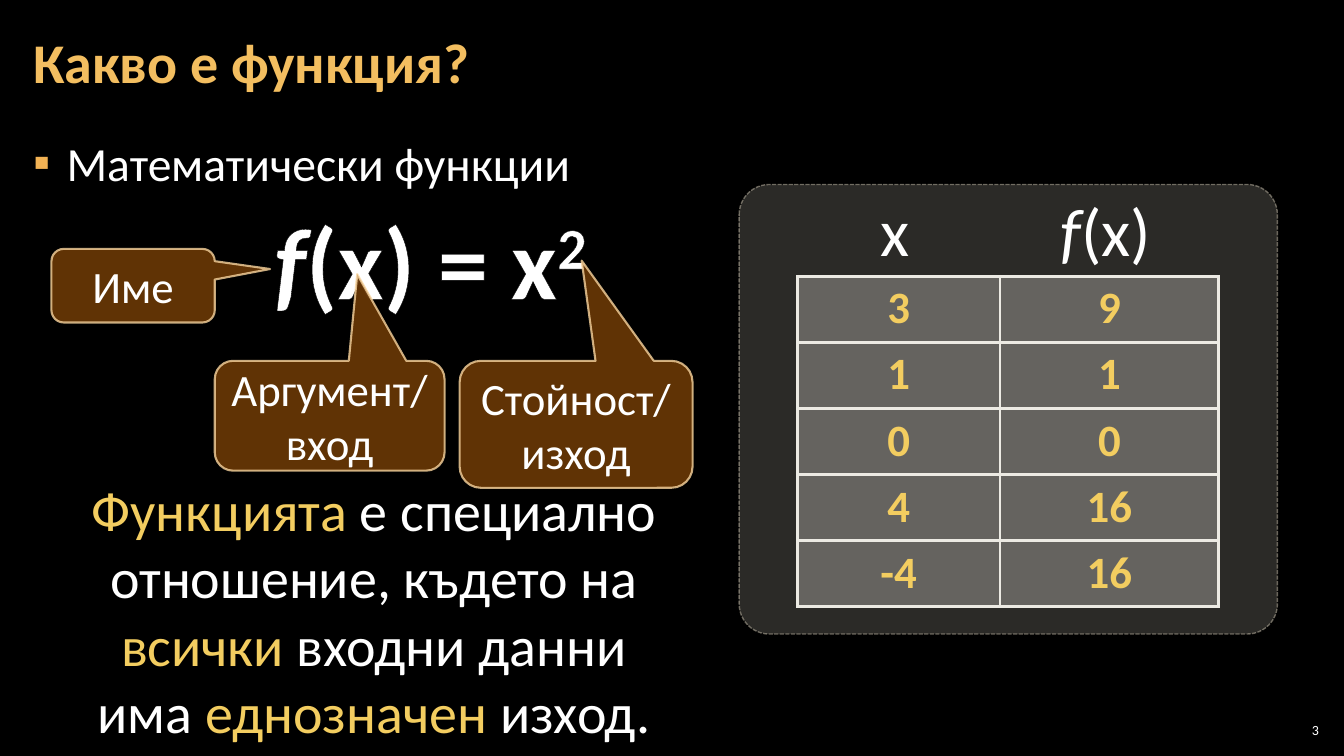
import pptx
import pptx.dml.color
import pptx.enum.dml
import pptx.enum.shapes
import pptx.enum.text
import pptx.oxml
import pptx.oxml.ns
import pptx.util

COLORS = {
    "background": "000000", "white": "FFFFFF", "title": "F3BE60",
    "bullet": "F2B254", "accent": "F3CD60", "callout": "663606",
    "callout_line": "F8D49E", "panel": "D9D5C7", "panel_line": "C7BFAC",
    "cell": "ECEAE3",
}
NAMESPACE = pptx.oxml.ns.nsdecls("a")
qn = pptx.oxml.ns.qn
Shapes = pptx.enum.shapes.MSO_SHAPE
Align = pptx.enum.text.PP_ALIGN
Anchor = pptx.enum.text.MSO_ANCHOR


def rgb(name):
    return pptx.dml.color.RGBColor.from_string(COLORS[name])


def line_xml(tag, color, points):
    return pptx.oxml.parse_xml(
        f'<a:{tag} {NAMESPACE} w="{int(points * 12700)}"><a:solidFill>'
        f'<a:srgbClr val="{COLORS[color]}"/></a:solidFill></a:{tag}>')


def set_opacity(parent, percent):
    color = parent.find(qn("a:solidFill")).find(qn("a:srgbClr"))
    color.append(pptx.oxml.parse_xml(f'<a:alpha {NAMESPACE} val="{percent * 1000}"/>'))


def write(paragraph, text, size=32, color="white", bold=False, italic=False,
          baseline=None, outline=None):
    run = paragraph.add_run()
    run.text = text
    font = run.font
    font.name, font.size = "Calibri", pptx.util.Pt(size)
    font.bold, font.italic = bold, italic
    font.color.rgb = rgb(color)
    properties = run._r.get_or_add_rPr()
    if baseline:
        properties.set("baseline", str(baseline * 1000))
    if outline:
        properties.insert(0, line_xml("ln", outline, 0.75))


class SlideBuilder:
    """Hold the current slide and its style; places are percentages of the slide."""

    def __init__(self, presentation):
        self.width = presentation.slide_width
        self.height = presentation.slide_height
        self.slide = presentation.slides.add_slide(presentation.slide_layouts[6])
        self.slide.background.fill.solid()
        self.slide.background.fill.fore_color.rgb = rgb("background")

    def x(self, share):
        return round(self.width * share / 100)

    def y(self, share):
        return round(self.height * share / 100)

    def place(self, left, top, width, height):
        return self.x(left), self.y(top), self.x(width), self.y(height)

    def text(self, box, *runs, align=Align.CENTER, anchor=Anchor.TOP,
             insets=(0.1, 0.05), wrap=True, grow=False, **style):
        frame = self.slide.shapes.add_textbox(*self.place(*box)).text_frame
        frame.word_wrap = wrap
        frame.vertical_anchor = anchor
        frame.margin_left = frame.margin_right = pptx.util.Inches(insets[0])
        frame.margin_top = frame.margin_bottom = pptx.util.Inches(insets[1])
        if grow:
            frame.auto_size = pptx.enum.text.MSO_AUTO_SIZE.SHAPE_TO_FIT_TEXT
        paragraph = frame.paragraphs[0]
        paragraph.alignment = align
        for text, changes in runs:
            write(paragraph, text, **{**style, **changes})
        return paragraph

    def bullet(self, box, text, **style):
        paragraph = self.text(box, (text, {}), align=Align.LEFT,
                              insets=(0.12, 0.04), **style)
        paragraph.line_spacing = 1.05
        paragraph.space_after = pptx.util.Pt(6)
        properties = paragraph._p.get_or_add_pPr()
        indent = pptx.util.Inches(0.33)
        properties.set("marL", str(indent))
        properties.set("indent", str(-indent))
        for xml in (f'<a:buClr {NAMESPACE}><a:srgbClr val="{COLORS["bullet"]}"/></a:buClr>',
                    f'<a:buFont {NAMESPACE} typeface="Calibri"/>',
                    f'<a:buChar {NAMESPACE} char="▪"/>'):
            properties.append(pptx.oxml.parse_xml(xml))

    def shape(self, kind, box, adjustments, fill, line, fill_opacity,
              line_opacity, points):
        shape = self.slide.shapes.add_shape(kind, *self.place(*box))
        shape.shadow.inherit = False
        for index, value in enumerate(adjustments):
            shape.adjustments[index] = value
        shape.fill.solid()
        shape.fill.fore_color.rgb = rgb(fill)
        shape.line.color.rgb = rgb(line)
        shape.line.width = pptx.util.Pt(points)
        properties = shape.element.spPr
        set_opacity(properties, fill_opacity)
        set_opacity(properties.find(qn("a:ln")), line_opacity)
        return shape

    def callout(self, box, tip, text):
        shape = self.shape(Shapes.ROUNDED_RECTANGULAR_CALLOUT, box, (*tip, 0.167),
                           "callout", "callout_line", 95, 80, 1.5)
        frame = shape.text_frame
        frame.word_wrap = True
        frame.vertical_anchor = Anchor.MIDDLE
        frame.paragraphs[0].alignment = Align.CENTER
        write(frame.paragraphs[0], text)

    def panel(self, box):
        shape = self.shape(Shapes.ROUNDED_RECTANGLE, box, (0.067,),
                           "panel", "panel_line", 20, 50, 1)
        shape.line.dash_style = pptx.enum.dml.MSO_LINE.SQUARE_DOT

    def table(self, left, top, columns, row_height, rows):
        box = (left, top, sum(columns), row_height * len(rows))
        graphic = self.slide.shapes.add_table(len(rows), len(columns), *self.place(*box))
        table = graphic.table
        table.first_row = table.horz_banding = False
        for column, width in zip(table.columns, columns):
            column.width = self.x(width)
        for row, values in zip(table.rows, rows):
            row.height = self.y(row_height)
            for cell, value in zip(row.cells, values):
                cell.fill.solid()
                cell.fill.fore_color.rgb = rgb("cell")
                paragraph = cell.text_frame.paragraphs[0]
                paragraph.alignment = Align.CENTER
                write(paragraph, str(value), color="accent", bold=True)
        for properties in graphic.element.iter(qn("a:tcPr")):
            set_opacity(properties, 30)
            for index, side in enumerate(("lnL", "lnR", "lnT", "lnB")):
                properties.insert(index, line_xml(side, "cell", 2.25))


def main():
    presentation = pptx.Presentation()
    presentation.slide_width = pptx.util.Inches(13.33)
    presentation.slide_height = pptx.util.Inches(7.5)
    builder = SlideBuilder(presentation)

    builder.text((94.9, 95.2, 3.53, 2.8), ("3", {}), size=10, align=Align.RIGHT,
                 anchor=Anchor.MIDDLE, insets=(0.04, 0.04))
    builder.bullet((1.58, 16.8, 96.85, 81.2), "Математически функции", size=34)
    title = builder.text((1.58, 0.53, 78.55, 16.13), ("Какво е функция?", {}),
                         size=40, color="title", bold=True, align=Align.LEFT,
                         anchor=Anchor.MIDDLE, insets=(0.12, 0.04))
    title.line_spacing = 0.9
    builder.text((19.35, 25.6, 25.36, 17.47), ("f", {"italic": True}),
                 ("(x) = x", {}), ("2", {"baseline": 30}), size=72, bold=True,
                 outline="background", wrap=False, grow=True)

    builder.callout((3.83, 32.93, 12.15, 9.73), (0.839, -0.226), "Име")
    builder.callout((15.98, 47.73, 17.1, 14.53), (0.12, -1.289), "Аргумент/вход")
    builder.callout((34.2, 47.73, 17.33, 16.8), (0.024, -1.289), "Стойност/изход")

    builder.panel((55, 24.4, 40.05, 59.47))
    inputs = (3, 1, 0, 4, -4)
    builder.table(59.33, 36.53, (15.08, 16.28), 8.75, [(x, x * x) for x in inputs])
    builder.text((61, 24.4, 11.18, 12.13), ("x", {}), size=48, grow=True)
    builder.text((76.2, 24.4, 12.15, 12.13), ("f", {"italic": True}), ("(x)", {}),
                 size=48, grow=True)

    accent = {"color": "accent"}
    builder.text((4.43, 62.27, 46.8, 37.2), ("Функцията ", accent),
                 ("е специално отношение, където на ", {}), ("всички ", accent),
                 ("входни данни има ", {}), ("еднозначен ", accent), ("изход.", {}),
                 size=40, grow=True)
    presentation.save("out.pptx")


if __name__ == "__main__":
    main()
